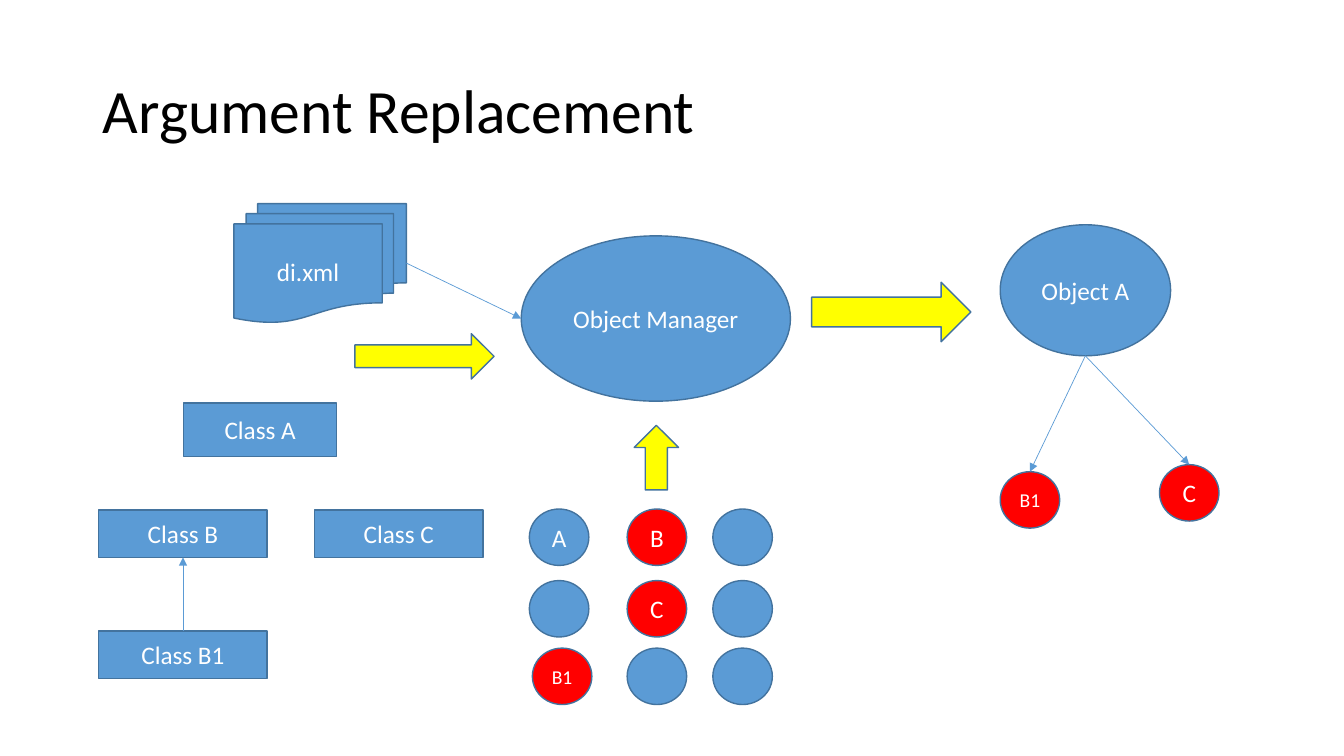
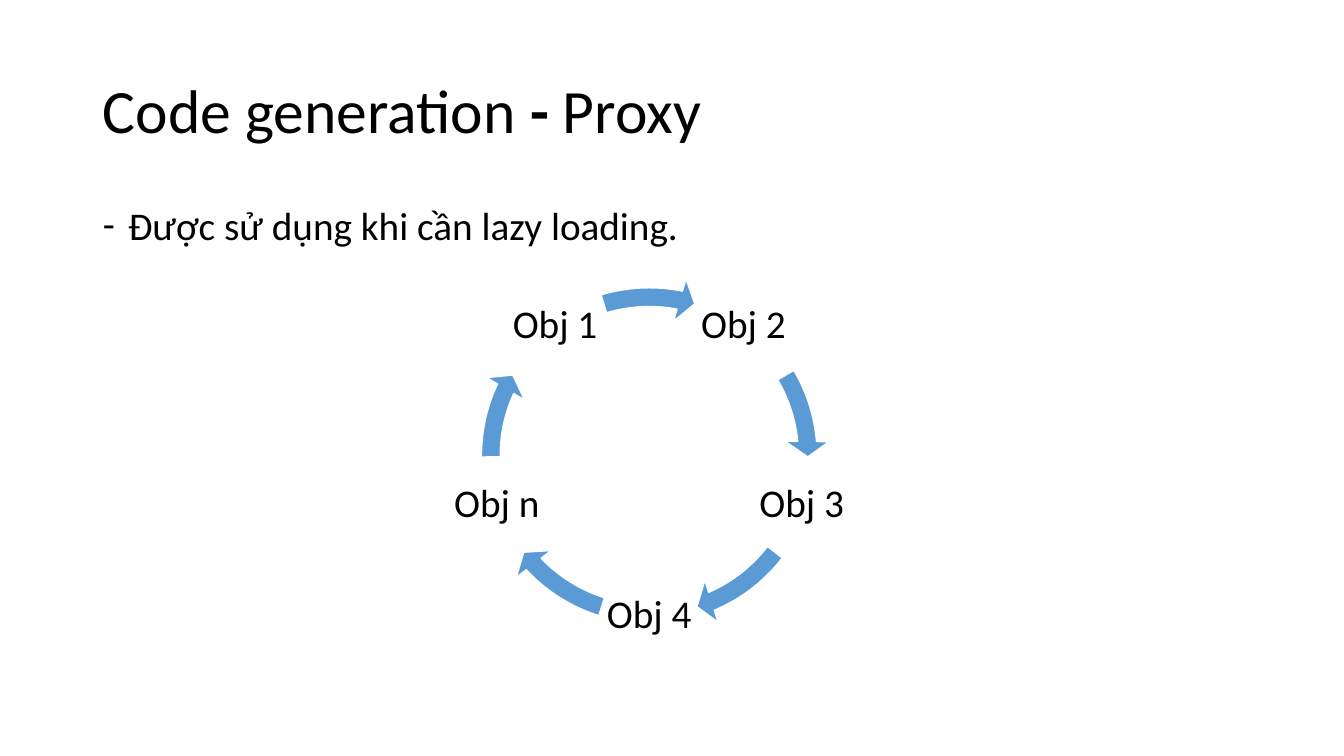
from math import cos, radians, sin

from lxml.etree import SubElement
from pptx import Presentation
from pptx.dml.color import RGBColor
from pptx.enum.shapes import MSO_CONNECTOR, MSO_SHAPE
from pptx.enum.text import MSO_ANCHOR, MSO_AUTO_SIZE, PP_ALIGN
from pptx.oxml.ns import qn
from pptx.util import Pt

PX = 9144  # EMU per px, 100 px to the inch
SLIDE_SIZE = (1333, 750)
FONT = "Calibri"
BLUE = RGBColor(0x5B, 0x9B, 0xD5)
DARK_BLUE = RGBColor(0x43, 0x73, 0x9E)
RED = RGBColor(0xFF, 0x00, 0x00)
YELLOW = RGBColor(0xFF, 0xFF, 0x00)
WHITE = RGBColor(0xFF, 0xFF, 0xFF)
BLACK = RGBColor(0x00, 0x00, 0x00)

TITLE_BOX = (92, 40, 1150, 145)
BODY_BOX = (92, 200, 1150, 476)

# Titles as (text, bold) runs
REPLACEMENT_TITLE = [("Argument Replacement", False)]
PROXY_TITLE = [("Code generation ", False), ("- ", True), ("Proxy", False)]
PROXY_POINT = "Được sử dụng khi cần lazy loading."

# Argument replacement: boxes are left, top, width, height
MANAGER = ("Object Manager", (517, 234, 267, 164))
CONFIG = ("di.xml", (232, 202, 171, 118))
OBJECT_A = ("Object A", (992, 223, 169, 130))
CLASSES = [
    ("Class A", (182, 400, 152, 53)),
    ("Class B", (98, 506, 167, 47)),
    ("Class C", (312, 506, 167, 47)),
    ("Class B1", (98, 626, 167, 47)),
]
FLOW_ARROWS = [  # box, rotation
    ((805, 280, 158, 59), 0),
    ((619, 432, 64, 44), 270),
    ((352, 331, 138, 45), 0),
]
CIRCLE_SIZE = (59, 56)
POOL = [  # top, then (left, label) of each circle in the row
    (505, [(525, "A"), (622, "B"), (707, "")]),
    (576, [(525, ""), (622, "C"), (707, "")]),
    (643, [(528, "B1"), (622, ""), (707, "")]),
]
ARGUMENTS = [("B1", 992, 468), ("C", 1150, 461)]
REPLACED = {"B", "B1", "C"}

# Proxy cycle: label, then start and end angle of the arrow leaving it
CYCLE = [
    ("Obj 2", 329.45, 354.88),
    ("Obj 3", 37.57, 66.9),
    ("Obj 4", 107.5, 136.83),
    ("Obj n", 179.52, 204.95),
    ("Obj 1", 253.32, 281.08),
]
CYCLE_CENTER = (644, 452)
LABEL_RADIUS, LABEL_SIZE, RING_SIZE = 159, 96, 358
FIRST_ANGLE = -54
BAND, HEAD, TIP_ANGLE = 0.052, 0.061, 5.6
ANGLE_UNIT = 0.6  # one degree in adjustment units


def emu(lengths):
    return [round(length * PX) for length in lengths]


def place(shape, box):
    shape.left, shape.top, shape.width, shape.height = emu(box)


def set_font(paragraph, size, color):
    font = paragraph.font
    font.name, font.size, font.color.rgb = FONT, Pt(size), color


def add_title(slide, runs):
    title = slide.shapes.title
    place(title, TITLE_BOX)
    frame = title.text_frame
    frame.vertical_anchor = MSO_ANCHOR.MIDDLE
    frame.auto_size = MSO_AUTO_SIZE.NONE
    paragraph = frame.paragraphs[0]
    paragraph.alignment, paragraph.line_spacing = PP_ALIGN.LEFT, 0.9
    set_font(paragraph, 44, BLACK)
    for text, bold in runs:
        run = paragraph.add_run()
        run.text, run.font.bold = text, bold


def add_figure(shapes, kind, box, fill=BLUE, text="", size=18, line=DARK_BLUE):
    figure = shapes.add_shape(kind, *emu(box))
    figure.shadow.inherit = False
    figure.fill.solid()
    figure.fill.fore_color.rgb = fill
    figure.line.color.rgb, figure.line.width = line, Pt(1)
    if text:
        frame = figure.text_frame
        frame.text, frame.vertical_anchor = text, MSO_ANCHOR.MIDDLE
        frame.paragraphs[0].alignment = PP_ALIGN.CENTER
        set_font(frame.paragraphs[0], size, WHITE)
    return figure


def add_circle(shapes, text, left, top):
    return add_figure(shapes, MSO_SHAPE.OVAL, (left, top, *CIRCLE_SIZE),
                      RED if text in REPLACED else BLUE, text,
                      14 if len(text) > 1 else 18)


def add_link(shapes, start, end):
    """Thin arrow between two points in EMU."""
    link = shapes.add_connector(MSO_CONNECTOR.STRAIGHT, *start, *end)
    link.line.color.rgb, link.line.width = BLUE, Pt(0.5)
    SubElement(link.line._get_or_add_ln(), qn("a:tailEnd"), type="triangle")
    SubElement(link._element.spPr, qn("a:effectLst"))
    return link


def top_middle(shape):
    return shape.left + shape.width // 2, shape.top


def bottom_middle(shape):
    return shape.left + shape.width // 2, shape.top + shape.height


def build_replacement(prs):
    slide = prs.slides.add_slide(prs.slide_layouts[5])
    add_title(slide, REPLACEMENT_TITLE)
    shapes = slide.shapes

    # Object manager, its configuration and the pool of objects
    name, box = MANAGER
    manager = add_figure(shapes, MSO_SHAPE.OVAL, box, text=name)
    name, box = CONFIG
    config = add_figure(shapes, MSO_SHAPE.FLOWCHART_MULTIDOCUMENT, box, text=name)
    add_link(shapes,
             (config.left + config.width, config.top + config.height // 2),
             (manager.left, manager.top + manager.height // 2))
    for top, row in POOL:
        for left, name in row:
            add_circle(shapes, name, left, top)

    # Created object and its arguments
    name, box = OBJECT_A
    object_a = add_figure(shapes, MSO_SHAPE.OVAL, box, text=name)
    for name, left, top in ARGUMENTS:
        argument = add_circle(shapes, name, left, top)
        add_link(shapes, bottom_middle(object_a), top_middle(argument))

    # Classes, with B1 extending B
    classes = {name: add_figure(shapes, MSO_SHAPE.RECTANGLE, box, text=name)
               for name, box in CLASSES}
    child, parent = classes["Class B1"], classes["Class B"]
    extends = add_link(shapes, top_middle(child), bottom_middle(parent))
    extends.begin_connect(child, 0)
    extends.end_connect(parent, 2)

    for box, rotation in FLOW_ARROWS:
        add_figure(shapes, MSO_SHAPE.RIGHT_ARROW, box, YELLOW).rotation = rotation


def add_point(body, text):
    place(body, BODY_BOX)
    frame = body.text_frame
    frame.text, frame.auto_size = text, MSO_AUTO_SIZE.NONE
    point = frame.paragraphs[0]
    point.line_spacing, point.space_before = 0.9, Pt(10)
    properties = point._p.get_or_add_pPr()
    properties.set("marL", str(25 * PX))
    properties.set("indent", str(-25 * PX))
    SubElement(properties, qn("a:buFont"), typeface=FONT)
    SubElement(properties, qn("a:buChar"), char="-")
    set_font(point, 28, BLACK)


def add_cycle_label(shapes, text, angle):
    center_x, center_y = CYCLE_CENTER
    left = center_x + LABEL_RADIUS * cos(radians(angle)) - LABEL_SIZE / 2
    top = center_y + LABEL_RADIUS * sin(radians(angle)) - LABEL_SIZE / 2
    label = shapes.add_textbox(*emu((left, top, LABEL_SIZE, LABEL_SIZE)))
    frame = label.text_frame
    frame.text, frame.word_wrap = text, True
    frame.vertical_anchor = MSO_ANCHOR.MIDDLE
    frame.margin_left = frame.margin_right = 4 * PX
    frame.margin_top = frame.margin_bottom = 4 * PX
    paragraph = frame.paragraphs[0]
    paragraph.alignment, paragraph.line_spacing = PP_ALIGN.CENTER, 0.9
    set_font(paragraph, 28, BLACK)


def build_proxy(prs):
    slide = prs.slides.add_slide(prs.slide_layouts[1])
    add_title(slide, PROXY_TITLE)
    add_point(slide.placeholders[1], PROXY_POINT)

    # Cycle of objects, labels evenly spaced on a circle
    cycle = slide.shapes.add_group_shape().shapes
    ring = [c - RING_SIZE / 2 for c in CYCLE_CENTER] + [RING_SIZE] * 2
    for index, (name, start, end) in enumerate(CYCLE):
        add_cycle_label(cycle, name, FIRST_ANGLE + index * 360 / len(CYCLE))
        arrow = add_figure(cycle, MSO_SHAPE.CIRCULAR_ARROW, ring, line=WHITE)
        values = (BAND, TIP_ANGLE * ANGLE_UNIT, end * ANGLE_UNIT,
                  start * ANGLE_UNIT, HEAD)
        for position, value in enumerate(values):
            arrow.adjustments[position] = value


def main():
    prs = Presentation()
    prs.slide_width, prs.slide_height = emu(SLIDE_SIZE)
    build_replacement(prs)
    build_proxy(prs)
    prs.save("out.pptx")


if __name__ == "__main__":
    main()
